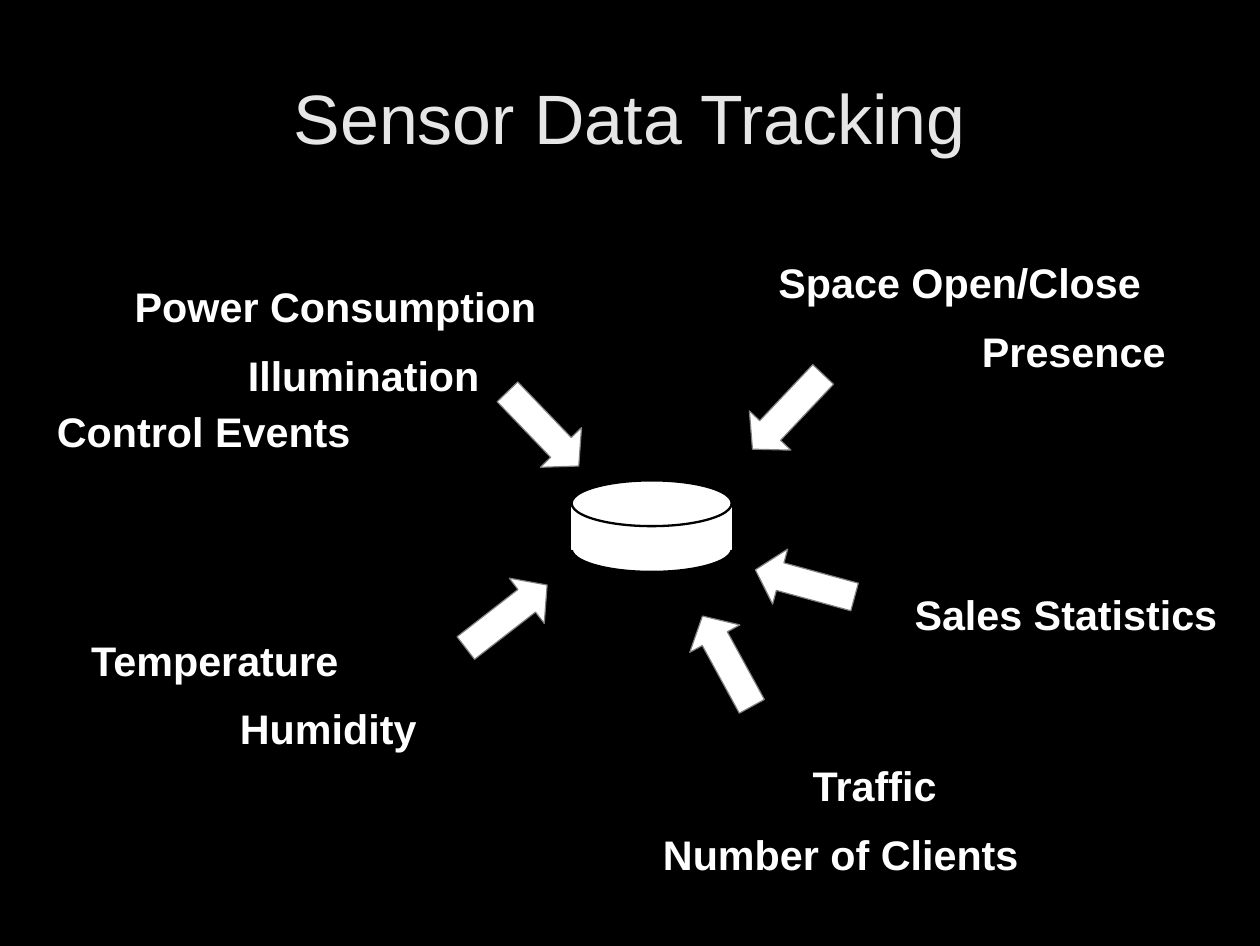
from pptx import Presentation
from pptx.dml.color import RGBColor
from pptx.enum.shapes import MSO_SHAPE
from pptx.enum.text import MSO_ANCHOR, MSO_AUTO_SIZE, PP_ALIGN
from pptx.util import Inches, Pt

ELLIPSE, RECTANGLE, ARROW = MSO_SHAPE.OVAL, MSO_SHAPE.RECTANGLE, MSO_SHAPE.RIGHT_ARROW
MIDDLE, CENTER = MSO_ANCHOR.MIDDLE, PP_ALIGN.CENTER
FIT_SHAPE, NO_FIT = MSO_AUTO_SIZE.SHAPE_TO_FIT_TEXT, MSO_AUTO_SIZE.NONE
TITLE_ONLY = 5

COLORS = {"background": "000000", "title": "E6E6E6", "white": "FFFFFF",
          "outline": "000000", "arrow_edge": "808080"}
TITLE_FONT = {"name": "Arial", "size": Pt(44), "bold": False}
LABEL_FONT = {"name": "Arial", "size": Pt(26), "bold": True}
TITLE_FRAME = {"margin_left": 0, "margin_top": 0, "margin_right": 0, "margin_bottom": 0,
               "vertical_anchor": MIDDLE, "word_wrap": True, "auto_size": NO_FIT}
LABEL_FRAME = {"margin_left": Inches(0.1), "margin_top": Inches(0.05),
               "margin_right": 0, "margin_bottom": Inches(0.05),
               "word_wrap": True, "auto_size": FIT_SHAPE}

LABEL_HEIGHT = 0.5
SENSOR_LABELS = [
    ("Power Consumption", 1.08, 2.41, 3.72),
    ("Illumination", 2.07, 3.01, 2.23),
    ("Control Events", 0.4, 3.5, 2.77),
    ("Temperature", 0.7, 5.5, 2.36),
    ("Humidity", 2, 6.1, 1.75),
    ("Space Open/Close", 6.71, 2.2, 3.38),
    ("Presence", 8.49, 2.8, 1.81),
    ("Sales Statistics", 7.9, 5.1, 2.85),
    ("Traffic", 7.01, 6.6, 1.28),
    ("Number of Clients", 5.7, 7.2, 3.31),
]

ARROW_SIZE = (0.9, 0.5)
ARROWS = [(4.3, 3.5, 46.1), (3.98, 5.14, 322.2), (5.91, 5.53, 241.3),
          (6.59, 4.85, 195.3), (6.44, 3.35, 133.4)]
DATABASE_BOX = (5, 4.2, 1.4, 0.8)


def color(key):
    """Return the palette colour with the given key."""
    return RGBColor.from_string(COLORS[key])


def apply(target, values):
    """Set each format value on the target."""
    for attribute, value in values.items():
        setattr(target, attribute, value)


def write(holder, text, frame_format, font_format, color_key):
    """Write one formatted line of text into a shape and return its paragraph."""
    apply(holder.text_frame, frame_format)
    paragraph = holder.text_frame.paragraphs[0]
    run = paragraph.add_run()
    run.text = text
    apply(run.font, font_format)
    run.font.color.rgb = color(color_key)
    return paragraph


def add_white_shape(shapes, kind, box, edge, edge_width):
    """Add a white preset shape with the given edge."""
    shape = shapes.add_shape(kind, *map(Inches, box))
    shape.shadow.inherit = False
    shape.fill.solid()
    shape.fill.fore_color.rgb = color("white")
    shape.line.color.rgb = color(edge)
    shape.line.width = Pt(edge_width)
    return shape


def set_title(slide, text, box):
    """Place and fill the title."""
    title = slide.shapes.title
    title.left, title.top, title.width, title.height = map(Inches, box)
    write(title, text, TITLE_FRAME, TITLE_FONT, "title").alignment = CENTER


def add_label(slide, text, box):
    """Add the name of one kind of sensor data."""
    label = slide.shapes.add_textbox(*map(Inches, box))
    write(label, text, LABEL_FRAME, LABEL_FONT, "white")


def add_database(slide, box):
    """Build the database cylinder from a base, a body and a lid."""
    left, top, width, height = box
    half = height / 2
    parts = slide.shapes.add_group_shape().shapes
    for kind, offset, edge, edge_width in [(ELLIPSE, half, "outline", 1.45),
                                           (RECTANGLE, half / 2, "white", 0),
                                           (ELLIPSE, 0, "outline", 1.45)]:
        add_white_shape(parts, kind, (left, top + offset, width, half), edge, edge_width)


def add_arrow(slide, box, angle):
    """Add an arrow turned towards the database."""
    arrow = add_white_shape(slide.shapes, ARROW, box, "arrow_edge", 0)
    arrow.adjustments[0], arrow.adjustments[1] = 0.5, 0.45
    arrow.rotation = angle


def main():
    """Build and save the sensor data slide."""
    deck = Presentation()
    deck.slide_width, deck.slide_height = Inches(11.02), Inches(8.27)
    slide = deck.slides.add_slide(deck.slide_layouts[TITLE_ONLY])
    slide.background.fill.solid()
    slide.background.fill.fore_color.rgb = color("background")

    set_title(slide, "Sensor Data Tracking", (0.55, 0.33, 9.92, 1.38))
    for text, left, top, width in SENSOR_LABELS:
        add_label(slide, text, (left, top, width, LABEL_HEIGHT))
    add_database(slide, DATABASE_BOX)
    for left, top, angle in ARROWS:
        add_arrow(slide, (left, top, *ARROW_SIZE), angle)
    deck.save("out.pptx")


if __name__ == "__main__":
    main()
